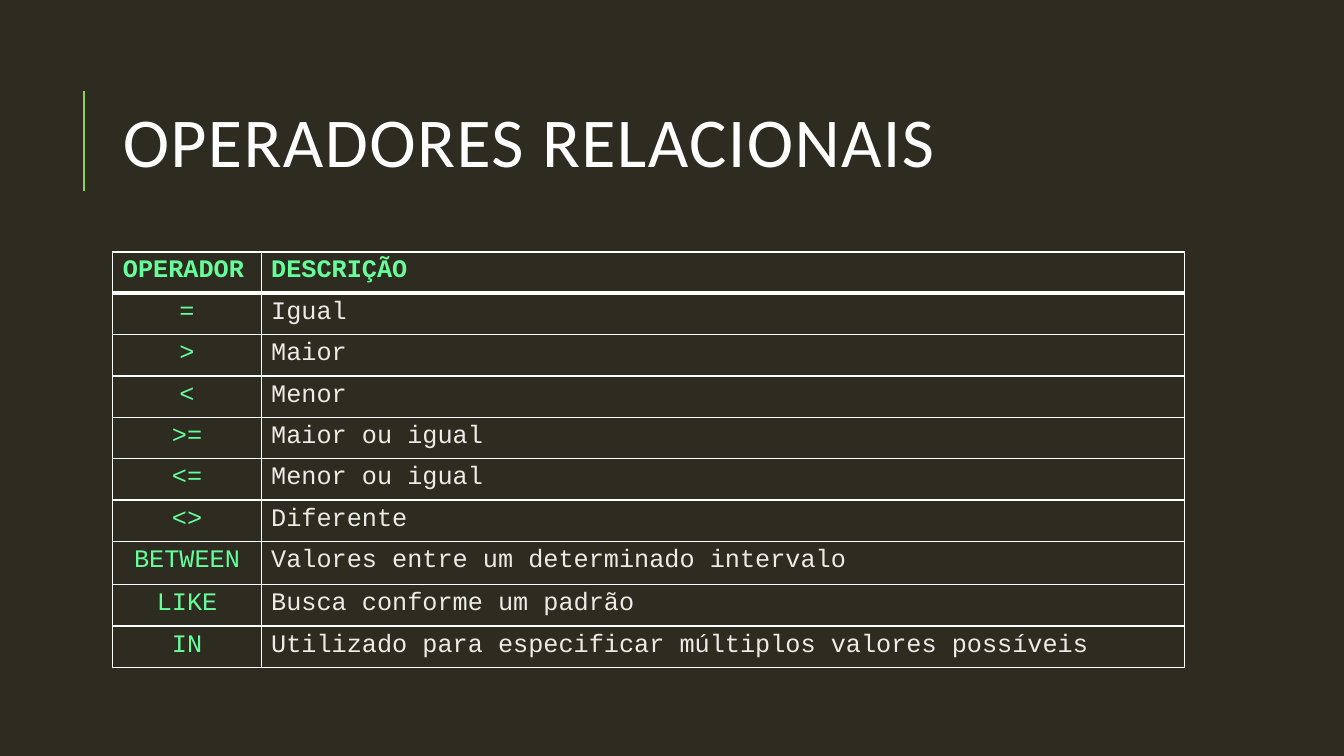
from dataclasses import dataclass

from lxml.etree import SubElement
from pptx import Presentation
from pptx.dml.color import RGBColor as RGB
from pptx.enum.shapes import MSO_CONNECTOR as CONNECTOR
from pptx.enum.text import MSO_ANCHOR as ANCHOR, PP_ALIGN as ALIGN
from pptx.oxml.ns import qn
from pptx.util import Inches, Pt

COLORS = {
    "background": "2E2B21",
    "accent": "92D050",
    "white": "FFFFFF",
    "operator": "66FF99",
    "description": "EDEBE6",
}
WIDTH, HEIGHT = Inches(13.33), Inches(7.5)
COL_SHARES = (11.03, 68.72)
ROW_SHARE, TALL_ROW_SHARE = 5.47, 5.73
TALL_ROW = "BETWEEN"
TITLE_FONT = {"name": "Calibri", "size": Pt(50)}
CELL_FONT = {"name": "Courier New", "size": Pt(18)}


@dataclass(frozen=True)
class Box:
    left: float
    top: float
    width: float
    height: float

    def emu(self) -> tuple[int, int, int, int]:
        return x(self.left), y(self.top), x(self.width), y(self.height)


@dataclass(frozen=True)
class Operator:
    symbol: str
    description: str


HEADER = Operator("OPERADOR", "DESCRIÇÃO")
OPERATORS = (
    Operator("=", "Igual"),
    Operator(">", "Maior"),
    Operator("<", "Menor"),
    Operator(">=", "Maior ou igual"),
    Operator("<=", "Menor ou igual"),
    Operator("<>", "Diferente"),
    Operator(TALL_ROW, "Valores entre um determinado intervalo"),
    Operator("LIKE", "Busca conforme um padrão"),
    Operator("IN", "Utilizado para especificar múltiplos valores possíveis"),
)
TITLE_BOX = Box(8.4, 8.53, 79.75, 21.87)
TABLE_BOX = Box(8.4, 33.33, sum(COL_SHARES), ROW_SHARE * len(OPERATORS) + TALL_ROW_SHARE)
RULE = Box(6.25, 12, 0, 13.33)


def x(share: float) -> int:
    return round(WIDTH * share / 100)


def y(share: float) -> int:
    return round(HEIGHT * share / 100)


def rgb(name: str) -> RGB:
    return RGB.from_string(COLORS[name])


def write(p, text: str, color: str, font: dict):
    r = p.add_run()
    r.text = text
    for key, value in font.items():
        setattr(r.font, key, value)
    r.font.color.rgb = rgb(color)
    return r


def draw_rule(s) -> None:
    left, top, _, height = RULE.emu()
    line = s.shapes.add_connector(CONNECTOR.STRAIGHT, left, top + height, left, top)
    line.line.color.rgb = rgb("accent")
    line.line.width = Pt(1.5)
    SubElement(line._element.spPr, qn("a:effectLst"))


def draw_title(s, text: str) -> None:
    tf = s.shapes.add_textbox(*TITLE_BOX.emu()).text_frame
    tf.word_wrap = True
    tf.vertical_anchor = ANCHOR.MIDDLE
    p = tf.paragraphs[0]
    p.line_spacing = 0.8
    r = write(p, text, "white", TITLE_FONT)
    r.font._element.set("spc", "100")


def draw_borders(cell, widths: dict[str, float]) -> None:
    tc_pr = cell._tc.get_or_add_tcPr()
    for side, width in widths.items():
        ln = SubElement(tc_pr, qn(f"a:ln{side}"), w=str(Pt(width)))
        fill = SubElement(ln, qn("a:solidFill"))
        SubElement(fill, qn("a:srgbClr"), val=COLORS["white"])


def draw_cell(cell, text: str, color: str, bold: bool, align, widths: dict[str, float]) -> None:
    draw_borders(cell, widths)
    cell.fill.background()
    p = cell.text_frame.paragraphs[0]
    p.alignment = align
    write(p, text, color, CELL_FONT | {"bold": bold})


def draw_table(s) -> None:
    entries = (HEADER, *OPERATORS)
    table = s.shapes.add_table(len(entries), len(COL_SHARES), *TABLE_BOX.emu()).table
    table.first_row = table.horz_banding = False
    for column, share in zip(table.columns, COL_SHARES):
        column.width = x(share)
    for i, entry in enumerate(entries):
        header = entry is HEADER
        table.rows[i].height = y(TALL_ROW_SHARE if entry.symbol == TALL_ROW else ROW_SHARE)
        widths = {"L": 1, "R": 1, "T": 3 if i == 1 else 1, "B": 3 if header else 1}
        draw_cell(table.cell(i, 0), entry.symbol, "operator", header,
                  ALIGN.LEFT if header else ALIGN.CENTER, widths)
        draw_cell(table.cell(i, 1), entry.description,
                  "operator" if header else "description", header, ALIGN.LEFT, widths)


def main() -> None:
    prs = Presentation()
    prs.slide_width, prs.slide_height = WIDTH, HEIGHT
    s = prs.slides.add_slide(prs.slide_layouts[6])
    s.background.fill.solid()
    s.background.fill.fore_color.rgb = rgb("background")
    draw_rule(s)
    draw_title(s, "OPERADORES RELACIONAIS")
    draw_table(s)
    prs.save("out.pptx")


if __name__ == "__main__":
    main()
